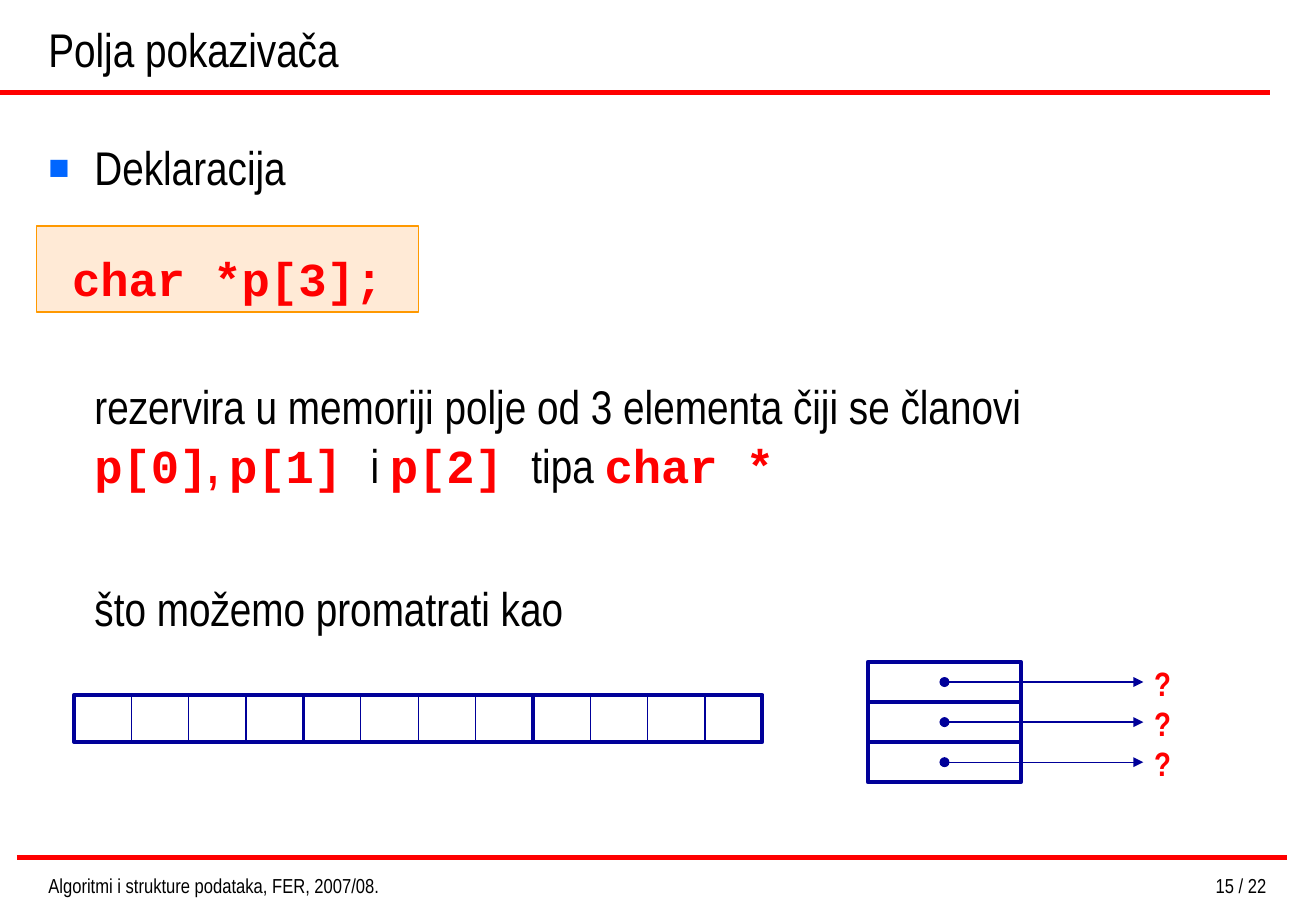
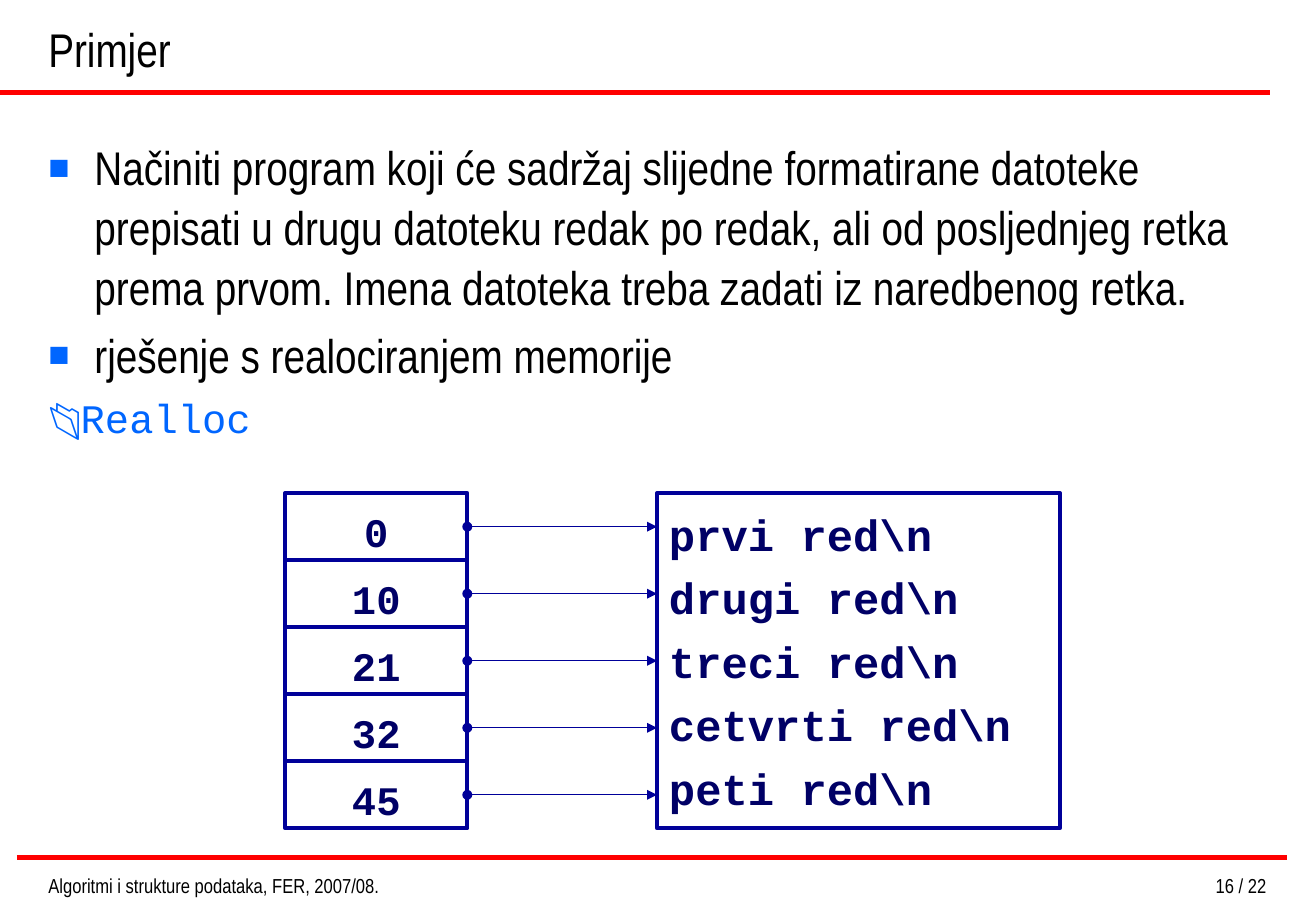
import pptx
import pptx.util
import pptx.dml.color
import pptx.enum.text
import pptx.enum.shapes
import lxml.etree

UNIT = 0.1
COLS, ROWS = 108.4, 75
RED, BLUE, NAVY, BLACK, SKY = "FF0000", "000099", "000066", "000000", "0066FF"
SANS, MONO = "Arial Narrow", "Courier New"
ALIGN = pptx.enum.text.PP_ALIGN
ANCHOR = pptx.enum.text.MSO_ANCHOR
CODE = {"font": MONO, "color": RED, "bold": True}
MARK = {"font": MONO, "color": NAVY, "bold": True, "wrap": False,
        "anchor": ANCHOR.MIDDLE}


def span(count):
    return pptx.util.Inches(round(count * UNIT, 4))


def color(code):
    return pptx.dml.color.RGBColor.from_string(code)


def node(parent, tag, **attrs):
    return lxml.etree.SubElement(parent, pptx.oxml.ns.qn(tag), attrs)


def write(shape, paras, size=28, font=SANS, color_code=BLACK, bold=False,
          align=ALIGN.LEFT, anchor=ANCHOR.TOP, wrap=True, top=0.5):
    frame = shape.text_frame
    frame.word_wrap = wrap
    frame.vertical_anchor = anchor
    frame.margin_left = frame.margin_right = span(1)
    frame.margin_top, frame.margin_bottom = span(top), span(0.5)
    base = {"size": size, "font": font, "color": color_code, "bold": bold}
    for index, item in enumerate(paras):
        item = {"runs": [item]} if isinstance(item, str) else item
        para = frame.paragraphs[0] if index == 0 else frame.add_paragraph()
        para.alignment = align
        para.line_spacing = item.get("line", 1.0)
        para.space_before = pptx.util.Pt(item.get("before", 0))
        props = para._p.get_or_add_pPr()
        props.set("marL", str(span(item.get("left", 0))))
        if item.get("bullet"):
            props.set("indent", str(-span(item["left"])))
            tint = node(props, "a:buClr")
            node(tint, "a:srgbClr", val=SKY)
            node(props, "a:buSzPct", val="75000")
            node(props, "a:buFont", typeface="Arial")
            node(props, "a:buChar", char="■")
        for part in item["runs"]:
            text, style = (part, {}) if isinstance(part, str) else part
            if text == "\n":
                para.add_line_break()
                continue
            look = {**base, **style}
            run = para.add_run()
            run.text = text
            run.font.size = pptx.util.Pt(look["size"])
            run.font.name = look["font"]
            run.font.bold = look["bold"]
            run.font.color.rgb = color(look["color"])


def label(slide, box, paras, **style):
    shape = slide.shapes.add_textbox(*map(span, box))
    write(shape, paras, **style)


def block(slide, box, line=BLUE, width=2.5, fill=None, alpha=100):
    kind = pptx.enum.shapes.MSO_SHAPE.RECTANGLE
    shape = slide.shapes.add_shape(kind, *map(span, box))
    shape.shadow.inherit = False
    shape.line.color.rgb = color(line)
    shape.line.width = pptx.util.Pt(width)
    if fill:
        shape.fill.solid()
        shape.fill.fore_color.rgb = color(fill)
        tint = shape.fill._xPr.find(".//" + pptx.oxml.ns.qn("a:srgbClr"))
        node(tint, "a:alpha", val=str(alpha * 1000))
    else:
        shape.fill.background()
    return shape


def rule(slide, start, end, line=BLUE, width=0.75, arrow=False):
    kind = pptx.enum.shapes.MSO_CONNECTOR.STRAIGHT
    link = slide.shapes.add_connector(kind, *map(span, start + end))
    link.line.color.rgb = color(line)
    link.line.width = pptx.util.Pt(width)
    if arrow:
        stroke = link.line._get_or_add_ln()
        node(stroke, "a:headEnd", type="oval")
        node(stroke, "a:tailEnd", type="triangle")
    node(link._element.spPr, "a:effectLst")
    return link


def page(deck, title, number):
    slide = deck.slides.add_slide(deck.slide_layouts[6])
    for left, top in ((0, 7.6), (1.4, 70.6)):
        rule(slide, (left, top), (left + 104.6, top), RED, 3)
    label(slide, (3, 0, 101.6, 6.8), [title], anchor=ANCHOR.BOTTOM)
    label(slide, (3, 71.4, 37.8, 2.4),
          ["Algoritmi i strukture podataka, FER, 2007/08."], size=12)
    label(slide, (77.6, 71.4, 27.7, 2.4), [f"{number} / 22"], size=12,
          align=ALIGN.RIGHT)
    return slide


def body(slide, paras):
    label(slide, (3, 10.7, 102.4, 58.3), paras)


def item(*runs, before=0, bullet=False, line=1.05, left=3.8):
    return {"runs": runs, "before": before, "bullet": bullet,
            "line": line, "left": left}


def bytes_row(slide, box, count=3, parts=4):
    left, top, width, height = box
    step = width / count
    for index in range(count):
        start = left + index * step
        block(slide, (start, top, step, height), width=2.25)
        for cut in range(1, parts):
            mid = start + cut * step / parts
            rule(slide, (mid, top), (mid, top + height))


def stack(slide, box, count):
    left, top, width, height = box
    step = height / count
    for index in range(count):
        start = top + index * step
        yield block(slide, (left, start, width, step)), start + step / 2


def pointers(slide, box):
    left, top, width, height = box
    end = left + 1.8 * width
    for cell, mid in stack(slide, box, 3):
        rule(slide, (left + width / 2, mid), (end, mid), arrow=True)
        label(slide, (end - 0.1, mid - 2.1, 3.4, 4.4), ["?"], size=20,
              color_code=RED, bold=True, wrap=False)


def offsets(slide, box, values, lines):
    left, top, width, height = box
    cell_width, text_left = 0.235 * width, left + 0.48 * width
    text_box = (text_left, top, left + width - text_left, height)
    style = {"font": MONO, "color_code": NAVY, "bold": True, "wrap": False,
             "anchor": ANCHOR.MIDDLE}
    cells = stack(slide, (left, top, cell_width, height), len(values))
    for value, (cell, mid) in zip(values, cells):
        write(cell, [value], size=24, align=ALIGN.CENTER, top=1.2, **style)
        link = rule(slide, (left + cell_width, mid), (text_left, mid),
                    arrow=True)
        link.begin_connect(cell, 3)
    paras = [item(text, before=6.5 if index else 0, line=1.0, left=0)
             for index, text in enumerate(lines)]
    write(block(slide, text_box), paras, size=26, **style)


def fields(deck):
    slide = page(deck, "Polja pokazivača", 15)
    body(slide, [
        item("Deklaracija", bullet=True),
        item("rezervira u memoriji polje od 3 elementa čiji se članovi", "\n",
             ("p[0]", CODE), (", ", {**CODE, "font": SANS}), ("p[1] ", CODE),
             "i ", ("p[2] ", CODE), "tipa ", ("char *", CODE), before=106),
        item("što možemo promatrati kao", before=49)])
    pointers(slide, (71.5, 54.5, 12.6, 9.9))
    bytes_row(slide, (6.1, 57.2, 56.7, 3.9))
    code = block(slide, (3, 18.6, 31.5, 7.1), "FF9900", 0.75, "FFCC99", 40)
    write(code, [item("char *p[3];", left=0)], font=MONO, color_code=RED,
          bold=True, align=ALIGN.CENTER, anchor=ANCHOR.MIDDLE, wrap=False,
          top=1.7)


def sample(deck):
    slide = page(deck, "Primjer", 16)
    body(slide, [
        item("Načiniti program koji će sadržaj slijedne formatirane datoteke "
             "prepisati u drugu datoteku redak po redak, ali od posljednjeg "
             "retka prema prvom. Imena datoteka treba zadati iz naredbenog "
             "retka.", bullet=True),
        item("rješenje s realociranjem memorije", before=7, bullet=True,
             line=1.0),
        item(("📂", {"font": "Arial", "size": 24, "color": SKY}),
             ("Realloc", {"font": MONO, "size": 24, "color": SKY}),
             before=6, line=1.0, left=0)])
    offsets(slide, (23.5, 40.6, 63.8, 27.6), ["0", "10", "21", "32", "45"],
            ["prvi red\\n", "drugi red\\n", "treci red\\n",
             "cetvrti red\\n", "peti red\\n"])


def main():
    deck = pptx.Presentation()
    deck.slide_width, deck.slide_height = span(COLS), span(ROWS)
    fields(deck)
    sample(deck)
    deck.save("out.pptx")


if __name__ == "__main__":
    main()
